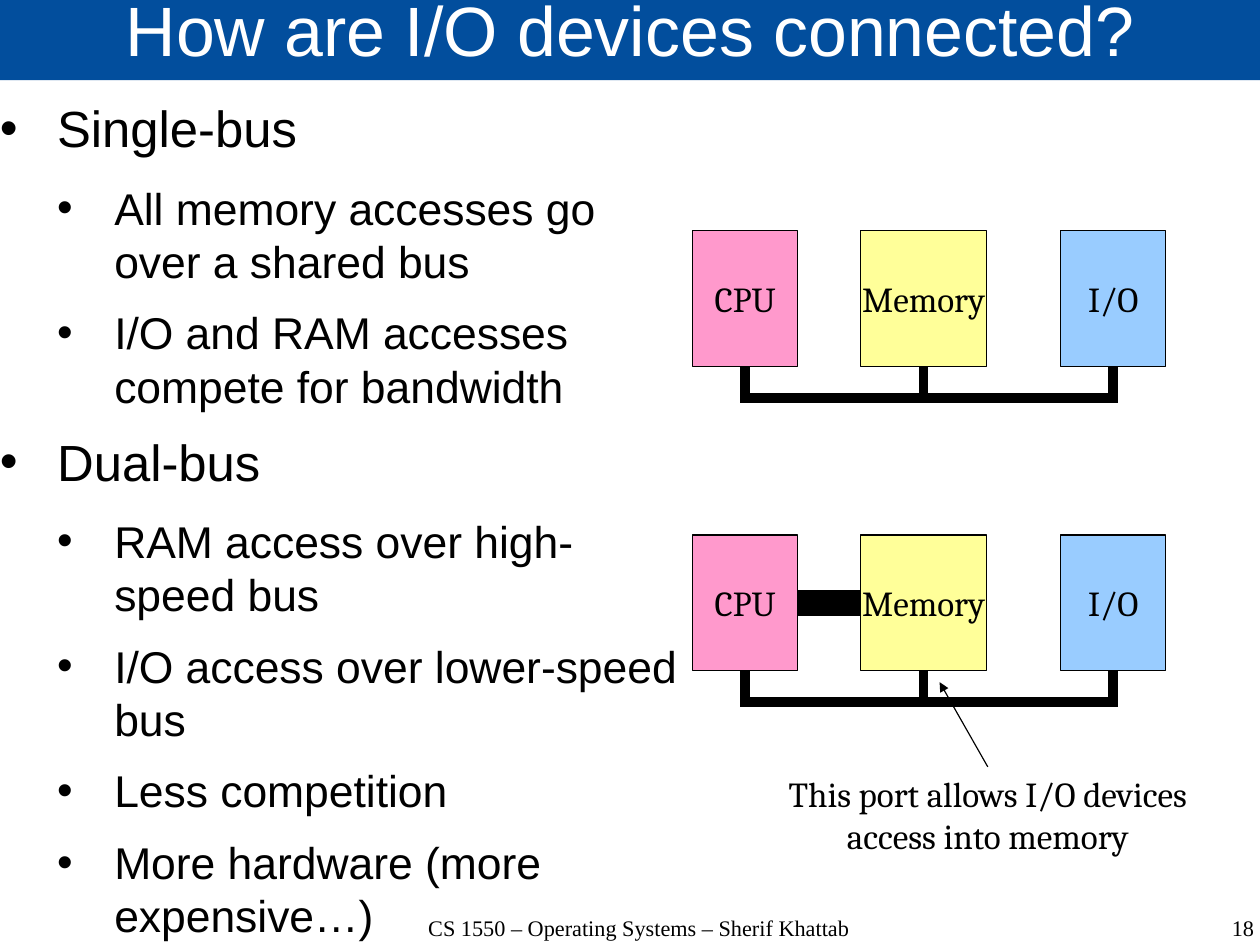
from lxml.etree import SubElement
from pptx import Presentation
from pptx.dml.color import RGBColor
from pptx.enum.shapes import MSO_CONNECTOR, MSO_SHAPE
from pptx.enum.text import MSO_ANCHOR, PP_ALIGN
from pptx.oxml.ns import qn
from pptx.util import Cm, Pt

BLACK, WHITE, BLUE = "000000", "FFFFFF", "024E9D"
BODY_FONT, DIAGRAM_FONT, FOOTER_FONT = "Arial", "Cambria", "Times New Roman"
LABEL_SIZE = 22.1

# Name, left, width and fill of each unit, in cm
UNITS = [
    ("CPU", 15.39, 2.34, "FF99CC"),
    ("Memory", 19.13, 2.79, "FFFF99"),
    ("I/O", 23.57, 2.34, "99CCFF"),
]
UNIT_HEIGHT = 3.02
BUS_DEPTH = 0.69
SINGLE_BUS_TOP, DUAL_BUS_TOP = 5.13, 11.89

# Level and text
BULLETS = [
    (0, "Single-bus"),
    (1, "All memory accesses go over a shared bus"),
    (1, "I/O and RAM accesses compete for bandwidth"),
    (0, "Dual-bus"),
    (1, "RAM access over high-speed bus"),
    (1, "I/O access over lower-speed bus"),
    (1, "Less competition"),
    (1, "More hardware (more expensive…)"),
]
BULLET_SIZES = (32, 28)
BULLET_SPACING = (14.2, 11.4)


def color(value):
    return RGBColor.from_string(value)


def format_runs(paragraph, font, size, text_color):
    for run in paragraph.runs:
        run.font.name = font
        run.font.size = Pt(size)
        run.font.color.rgb = color(text_color)


def remove_insets(text_frame):
    text_frame.margin_left = text_frame.margin_right = 0
    text_frame.margin_top = text_frame.margin_bottom = 0


def set_text(shape, text, font, size, text_color=BLACK, align=PP_ALIGN.CENTER,
             line_spacing=1.0):
    paragraph = shape.text_frame.paragraphs[0]
    paragraph.text = text
    paragraph.alignment = align
    paragraph.line_spacing = line_spacing
    format_runs(paragraph, font, size, text_color)


def add_text(slide, left, top, width, height):
    return slide.shapes.add_textbox(Cm(left), Cm(top), Cm(width), Cm(height))


def add_box(slide, left, top, width, height, fill):
    box = slide.shapes.add_shape(MSO_SHAPE.RECTANGLE, Cm(left), Cm(top),
                                 Cm(width), Cm(height))
    box.shadow.inherit = False
    box.fill.solid()
    box.fill.fore_color.rgb = color(fill)
    box.text_frame.vertical_anchor = MSO_ANCHOR.MIDDLE
    return box


def set_line(shape, width):
    shape.line.color.rgb = color(BLACK)
    shape.line.width = Pt(width)


def add_line(slide, x1, y1, x2, y2, width, arrow=False):
    line = slide.shapes.add_connector(MSO_CONNECTOR.STRAIGHT, Cm(x1), Cm(y1),
                                      Cm(x2), Cm(y2))
    set_line(line, width)
    if arrow:
        SubElement(line.line._get_or_add_ln(), qn("a:tailEnd"), type="triangle")
    SubElement(line._element.spPr, qn("a:effectLst"))


def add_title(slide, text):
    banner = add_box(slide, 0, -0.05, 28.04, 1.83, BLUE)
    banner.line.fill.background()
    remove_insets(banner.text_frame)
    set_text(banner, text, BODY_FONT, 44, WHITE, line_spacing=0.69)


def add_bullets(slide):
    text_frame = add_text(slide, 0, 2.16, 15.16, 18.08).text_frame
    text_frame.word_wrap = True
    remove_insets(text_frame)
    for index, (level, text) in enumerate(BULLETS):
        paragraph = text_frame.add_paragraph() if index else text_frame.paragraphs[0]
        paragraph.text = text
        paragraph.level = level
        paragraph.space_after = Pt(BULLET_SPACING[level])
        properties = paragraph._p.get_or_add_pPr()
        properties.set("marL", str(Cm(1.27 * (level + 1))))
        properties.set("indent", str(-Cm(1.27)))
        SubElement(properties, qn("a:buFont"), typeface=BODY_FONT)
        SubElement(properties, qn("a:buChar"), char="•")
        format_runs(paragraph, BODY_FONT, BULLET_SIZES[level], BLACK)


def add_footer(slide, text, left, width, align):
    box = add_text(slide, left, 20.35, width, 1.4)
    box.text_frame.word_wrap = True
    remove_insets(box.text_frame)
    set_text(box, text, FOOTER_FONT, 14, align=align, line_spacing=0.96)


def add_bus(slide, top):
    """Draw the shared bus, with a stub up to each unit, below top."""
    cpu, memory, device = [Cm(left + width / 2) for _, left, width, _ in UNITS]
    start, bottom = Cm(top), Cm(top + BUS_DEPTH)
    builder = slide.shapes.build_freeform(cpu, start)
    builder.add_line_segments([(cpu, bottom), (device, bottom), (device, start)],
                              close=False)
    builder.move_to(memory, start)
    builder.add_line_segments([(memory, bottom)], close=False)
    bus = builder.convert_to_shape()
    bus.shadow.inherit = False
    bus.fill.background()
    set_line(bus, 6)
    SubElement(bus.line._get_or_add_ln(), qn("a:miter"), lim="800000")


def add_computer(slide, top):
    add_bus(slide, top + UNIT_HEIGHT)
    for name, left, width, fill in UNITS:
        unit = add_box(slide, left, top, width, UNIT_HEIGHT, fill)
        set_line(unit, 0.75)
        unit.text_frame.word_wrap = False
        set_text(unit, name, DIAGRAM_FONT, LABEL_SIZE)


def add_memory_bus(slide, top):
    """Join CPU and memory directly with the high-speed bus."""
    (_, cpu_left, cpu_width, _), (_, memory_left, _, _) = UNITS[:2]
    middle = top + UNIT_HEIGHT / 2
    add_line(slide, cpu_left + cpu_width, middle, memory_left, middle, 16)


def add_port_note(slide):
    note = add_text(slide, 17.25, 17.04, 9.4, 2.13)
    note.text_frame.word_wrap = False
    set_text(note, "This port allows I/O devices\vaccess into memory",
             DIAGRAM_FONT, LABEL_SIZE)
    add_line(slide, 21.95, 17.04, 20.88, 15.16, 0.75, arrow=True)


def main():
    presentation = Presentation()
    presentation.slide_width, presentation.slide_height = Cm(28), Cm(21)
    slide = presentation.slides.add_slide(presentation.slide_layouts[6])

    add_title(slide, "How are I/O devices connected?")
    add_bullets(slide)
    add_footer(slide, "CS 1550 – Operating Systems – Sherif Khattab", 7.8, 12.8,
               PP_ALIGN.CENTER)
    add_footer(slide, "18", 21.44, 6.43, PP_ALIGN.RIGHT)
    add_computer(slide, SINGLE_BUS_TOP)
    add_computer(slide, DUAL_BUS_TOP)
    add_memory_bus(slide, DUAL_BUS_TOP)
    add_port_note(slide)

    presentation.save("out.pptx")


if __name__ == "__main__":
    main()
